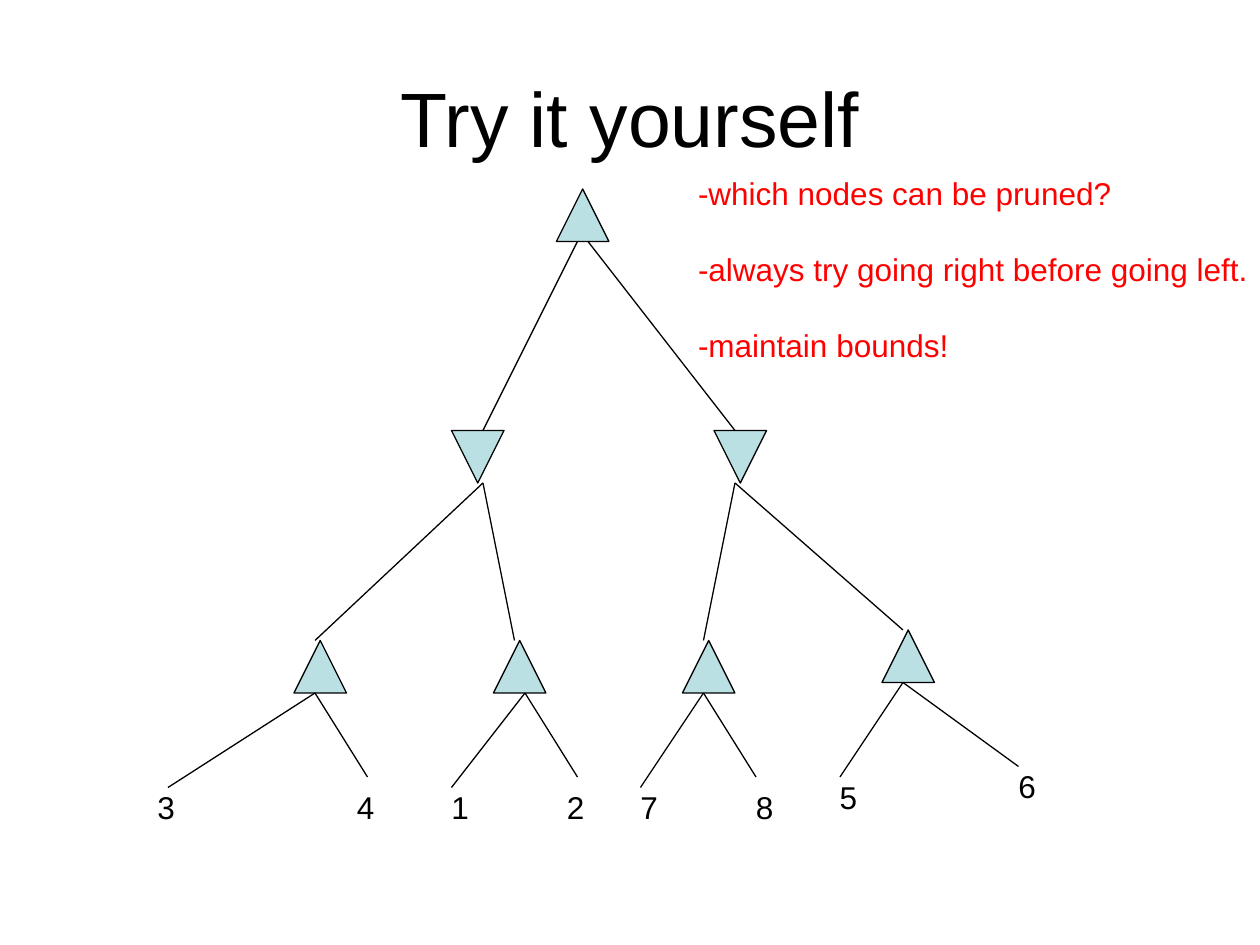
from dataclasses import dataclass

from lxml.etree import SubElement
from pptx import Presentation
from pptx.dml.color import RGBColor
from pptx.enum.shapes import MSO_CONNECTOR as Connector, MSO_SHAPE as Shape
from pptx.enum.text import MSO_ANCHOR as Anchor, PP_ALIGN as Align
from pptx.oxml.ns import qn
from pptx.util import Inches, Pt


@dataclass(frozen=True)
class Theme:
    font = "Arial"
    ink = RGBColor(0, 0, 0)
    node = RGBColor(0xBB, 0xE0, 0xE3)
    hint = RGBColor(0xFF, 0, 0)
    title_size = Pt(44)
    body_size = Pt(18)
    stroke = Pt(0.75)
    hint_gap = Pt(21.7)


theme = Theme()
deck = Presentation()
deck.slide_width, deck.slide_height = Inches(10), Inches(7.5)
slide = deck.slides.add_slide(deck.slide_layouts[5])
COLUMNS, ROWS = 120, 90


def grid(*values):
    cells = (deck.slide_width / COLUMNS, deck.slide_height / ROWS)
    return [round(value * cells[i % 2]) for i, value in enumerate(values)]


def write(paragraph, wording, size, color):
    run = paragraph.add_run()
    run.text = wording
    run.font.name, run.font.size = theme.font, size
    run.font.color.rgb = color


title = slide.shapes.title
title.left, title.top, title.width, title.height = grid(6, 3.6, 108, 15)
title.text_frame.vertical_anchor = Anchor.MIDDLE
heading = title.text_frame.paragraphs[0]
heading.alignment = Align.CENTER
write(heading, "Try it yourself", theme.title_size, theme.ink)

NODE = 5
max_nodes = [(28, 61), (47, 61), (65, 61), (84, 60), (53, 18)]
min_nodes = [(43, 41), (68, 41)]
for rotation, corners in ((0, max_nodes), (180, min_nodes)):
    for column, row in corners:
        node = slide.shapes.add_shape(Shape.ISOSCELES_TRIANGLE, *grid(column, row, NODE, NODE))
        node.rotation = rotation
        node.shadow.inherit = False
        node.fill.solid()
        node.fill.fore_color.rgb = theme.node
        node.line.color.rgb = theme.ink
        node.line.width = theme.stroke

branches = [
    ((55, 23), (46, 41)),
    ((56, 23), (70, 41)),
    ((46, 46), (30, 61)),
    ((46, 46), (49, 61)),
    ((70, 46), (67, 61)),
    ((70, 46), (86, 60)),
    ((30, 66), (16, 75)),
    ((30, 66), (35, 74)),
    ((50, 66), (43, 75)),
    ((50, 66), (55, 74)),
    ((67, 66), (61, 75)),
    ((67, 66), (72, 74)),
    ((86, 65), (80, 74)),
    ((86, 65), (97, 73)),
]
for parent, child in branches:
    branch = slide.shapes.add_connector(Connector.STRAIGHT, *grid(*parent, *child))
    branch.line.color.rgb = theme.ink
    branch.line.width = theme.stroke
    SubElement(branch._element.spPr, qn("a:effectLst"))

leaves = [
    ("3", 13.8, 74.5), ("4", 32.8, 74.5), ("1", 41.8, 74.5), ("2", 52.8, 74.5),
    ("7", 59.8, 74.5), ("8", 70.8, 74.5), ("5", 78.8, 73.5), ("6", 95.8, 72.5),
]
hints = [
    "-which nodes can be pruned?",
    "-always try going right before going left.",
    "-maintain bounds!",
]
notes = [([value], (column, row, 4.1, 4.8), theme.ink) for value, column, row in leaves]
notes.append((hints, (65.3, 16, 54.7, 19.2), theme.hint))

for wordings, place, color in notes:
    frame = slide.shapes.add_textbox(*grid(*place)).text_frame
    frame.word_wrap = True
    frame.margin_right = 0
    for i, wording in enumerate(wordings):
        paragraph = frame.add_paragraph() if i else frame.paragraphs[0]
        if i:
            paragraph.space_before = theme.hint_gap
        write(paragraph, wording, theme.body_size, color)

deck.save("out.pptx")
